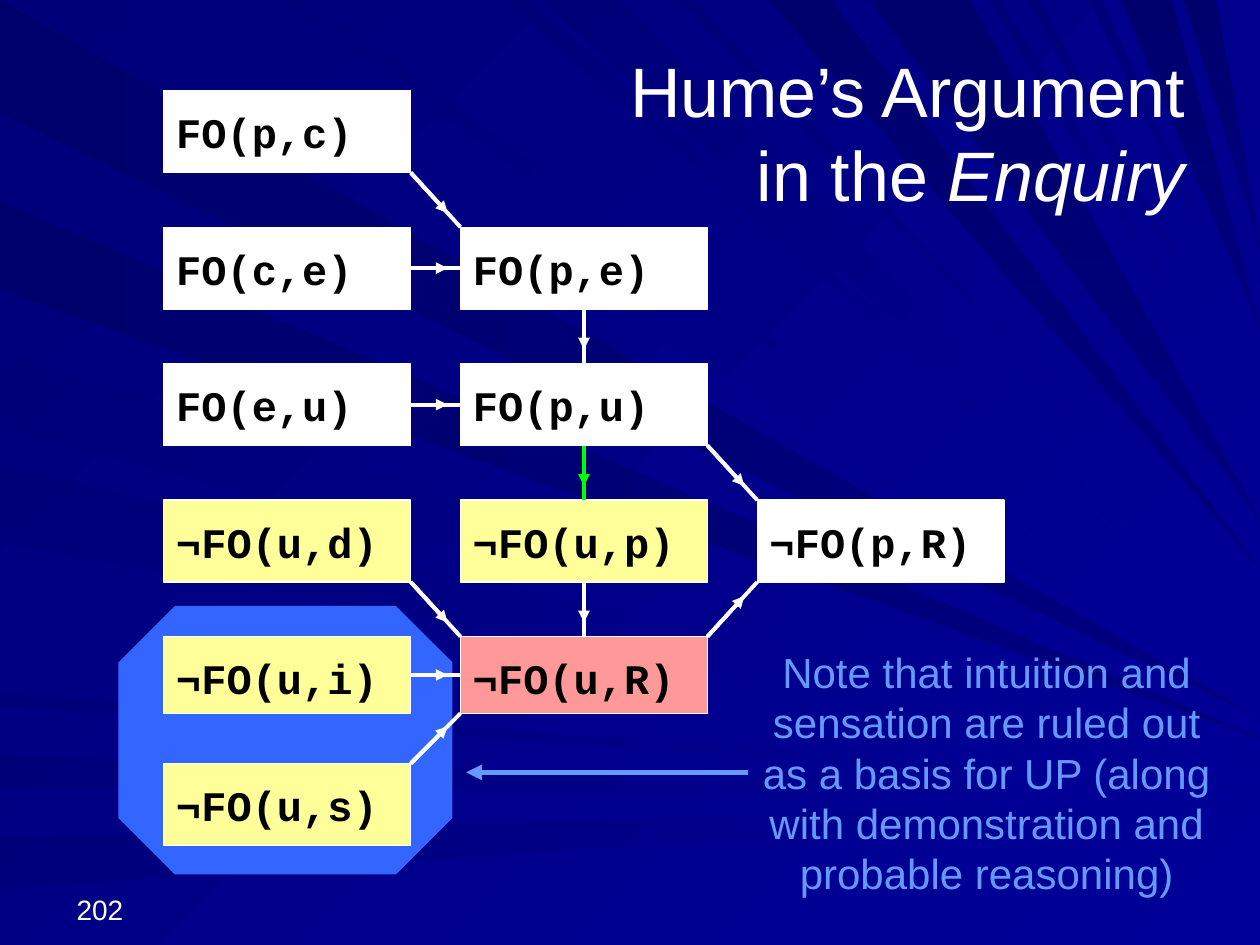
"""Build the slide that maps Hume's argument in the Enquiry."""
from dataclasses import dataclass
from math import sqrt
from typing import NamedTuple

from lxml.etree import SubElement
from pptx import Presentation
from pptx.dml.color import RGBColor
from pptx.enum.shapes import MSO_CONNECTOR as Connector, MSO_SHAPE as Preset
from pptx.enum.text import MSO_ANCHOR as Anchor, PP_ALIGN as Align
from pptx.oxml.ns import qn
from pptx.util import Inches, Pt


@dataclass(frozen=True)
class Theme:
    white: str = "FFFFFF"
    black: str = "000000"
    yellow: str = "FFFF99"
    pink: str = "FF9999"
    green: str = "00FF00"
    blue: str = "3366FF"
    sky: str = "6699FF"
    shade: str = "00006C"
    night: str = "000078"
    deep: str = "000080"
    dusk: str = "000099"
    sans: str = "Arial"
    mono: str = "Courier New"
    title_size: int = 40
    body_size: int = 24
    number_size: int = 16
    border: float = 0.75
    link_width: float = 2.25
    pointer_width: float = 3


class Area(NamedTuple):
    """Left, top, width and height in percent of the slide."""
    left: float
    top: float
    width: float
    height: float


class Fan(NamedTuple):
    """Beams of one tone: where each starts on its edge, and its width, in inches."""
    from_top: bool
    start: str
    end: str
    angle: int
    beams: dict


class Link(NamedTuple):
    source: str
    target: str
    color: str


THEME = Theme()
WIDTH, HEIGHT = Inches(10), Inches(7.5)
COLUMN_START, COLUMN_STEP, CLAIM_WIDTH = 13, 23.55, 19.6
ROW_START, ROW_STEP, CLAIM_HEIGHT = 9.6, 14.44, 8.67
SHORT_ROW, SHORT_HEIGHT, LAST_ROW, LAST_TOP = 4, 8.13, 5, 80.8
ARROW_SHARE = 0.74
HORIZON = 5.7

FANS = [
    Fan(False, THEME.shade, THEME.deep, 0, {0: 0.9, 1.6: 0.7}),
    Fan(False, THEME.night, THEME.dusk, 45, {2.8: 0.6, 3.7: 0.6, 5.5: 0.1, 6: 0.25, 6.65: 0.4}),
    Fan(True, THEME.night, THEME.dusk, 45,
        {0.3: 0.7, 2.25: 0.2, 4: 0.2, 4.3: 0.6, 5.4: 0.1, 7.85: 0.1, 8.15: 0.1, 8.65: 0.1}),
    Fan(True, THEME.shade, THEME.deep, 90, {6.1: 0.5, 6.9: 0.8, 8.9: 0.4, 9.4: 0.25}),
]
CLAIM_GRID = [
    ["FO(p,c)"],
    ["FO(c,e)", "FO(p,e)"],
    ["FO(e,u)", "FO(p,u)"],
    ["¬FO(u,d)", "¬FO(u,p)", "¬FO(p,R)"],
    ["¬FO(u,i)", "¬FO(u,R)"],
    ["¬FO(u,s)"],
]
SPECIAL_FILLS = {"¬FO(u,R)": THEME.pink, "¬FO(p,R)": THEME.white}
LINKS = [
    Link("FO(p,c)", "FO(p,e)", THEME.white),
    Link("FO(c,e)", "FO(p,e)", THEME.white),
    Link("FO(p,e)", "FO(p,u)", THEME.white),
    Link("FO(e,u)", "FO(p,u)", THEME.white),
    Link("FO(p,u)", "¬FO(u,p)", THEME.green),
    Link("FO(p,u)", "¬FO(p,R)", THEME.white),
    Link("¬FO(u,d)", "¬FO(u,R)", THEME.white),
    Link("¬FO(u,p)", "¬FO(u,R)", THEME.white),
    Link("¬FO(u,i)", "¬FO(u,R)", THEME.white),
    Link("¬FO(u,s)", "¬FO(u,R)", THEME.white),
    Link("¬FO(u,R)", "¬FO(p,R)", THEME.white),
]


def place(area: Area) -> tuple:
    return tuple(round(share * side / 100) for share, side in zip(area, (WIDTH, HEIGHT) * 2))


def paint(fill, start: str, end: str, angle: int) -> None:
    if start == end:
        fill.solid()
        fill.fore_color.rgb = RGBColor.from_string(start)
        return
    fill.gradient()
    fill.gradient_angle = -angle % 360
    for stop, color, position in zip(fill.gradient_stops, (start, end), (0, 1)):
        stop.color.rgb = RGBColor.from_string(color)
        stop.position = position


def draw_fan(page, fan: Fan) -> None:
    """Draw beams that narrow to a point on the right edge."""
    for near, width in fan.beams.items():
        edge = [Inches(near), Inches(near + width)]
        if fan.from_top:
            base = [(along, 0) for along in edge]
            tip = HORIZON * sqrt(1 - (Inches(near) / WIDTH) ** 2)
        else:
            base = [(0, along) for along in edge]
            tip = HORIZON + near / 10
        builder = page.shapes.build_freeform(*base[0])
        builder.add_line_segments([base[1], (WIDTH, Inches(tip))], close=True)
        beam = builder.convert_to_shape()
        beam.shadow.inherit = False
        beam.line.fill.background()
        paint(beam.fill, fan.start, fan.end, fan.angle)


def draw_shape(page, preset, area: Area, color: str):
    shape = page.shapes.add_shape(preset, *place(area))
    shape.shadow.inherit = False
    paint(shape.fill, color, color, 0)
    shape.line.fill.background()
    return shape


def write(box, spans: list, size: int, color: str, align=Align.LEFT, anchor=Anchor.MIDDLE,
          font: str = THEME.sans, bold: bool = False):
    frame = box.text_frame
    frame.word_wrap, frame.vertical_anchor = True, anchor
    para = frame.paragraphs[0]
    para.alignment = align
    for text, italic in spans:
        span = para.add_run()
        span.text = text
        span.font.name, span.font.size = font, Pt(size)
        span.font.bold, span.font.italic = bold, italic
        span.font.color.rgb = RGBColor.from_string(color)
    return para


def draw_claim(page, text: str, column: int, row: int):
    top = LAST_TOP if row == LAST_ROW else ROW_START + row * ROW_STEP
    height = SHORT_HEIGHT if row == SHORT_ROW else CLAIM_HEIGHT
    area = Area(COLUMN_START + column * COLUMN_STEP, top, CLAIM_WIDTH, height)
    usual = THEME.yellow if text.startswith("¬") else THEME.white
    box = draw_shape(page, Preset.RECTANGLE, area, SPECIAL_FILLS.get(text, usual))
    box.line.color.rgb = RGBColor.from_string(THEME.white)
    box.line.width = Pt(THEME.border)
    para = write(box, [(text, False)], THEME.body_size, THEME.black,
                 anchor=Anchor.TOP, font=THEME.mono, bold=True)
    para.line_spacing = 1.2
    return box


def draw_line(page, start: tuple, end: tuple, color: str, width: float, arrow: bool = False):
    line = page.shapes.add_connector(Connector.STRAIGHT, *start, *end)
    line.line.color.rgb = RGBColor.from_string(color)
    line.line.width = Pt(width)
    if arrow:
        SubElement(line.line._get_or_add_ln(), qn("a:tailEnd"), type="triangle")
    SubElement(line._element.spPr, qn("a:effectLst"))
    return line


def draw_link(page, source, target, color: str) -> None:
    """Join two claims side to side or corner to corner, with an arrowhead on the way."""
    sites = None
    start, end = (source.left + source.width, source.top), (target.left, target.top)
    if source.top == target.top:
        sites, middle = (3, 1), source.top + source.height // 2
        start, end = (start[0], middle), (end[0], middle)
    elif source.left == target.left:
        sites, middle = (2, 0), source.left + source.width // 2
        start, end = (middle, source.top + source.height), (middle, target.top)
    elif source.top < target.top:
        start = (start[0], source.top + source.height)
    else:
        end = (end[0], target.top + target.height)
    line = draw_line(page, start, end, color, THEME.link_width)
    if sites:
        line.begin_connect(source, sites[0])
        line.end_connect(target, sites[1])
    tip = tuple(round(a + (b - a) * ARROW_SHARE) for a, b in zip(start, end))
    draw_line(page, start, tip, color, THEME.link_width, arrow=True)


def main() -> None:
    deck = Presentation()
    deck.slide_width, deck.slide_height = WIDTH, HEIGHT
    page = deck.slides.add_slide(deck.slide_layouts[6])
    paint(page.background.fill, THEME.night, THEME.dusk, 45)
    for fan in FANS:
        draw_fan(page, fan)
    number = page.shapes.add_textbox(*place(Area(5.1, 92, 23.3, 6.67)))
    write(number, [("202", False)], THEME.number_size, THEME.white, anchor=Anchor.BOTTOM)
    octagon = draw_shape(page, Preset.OCTAGON, Area(9.4, 64.13, 26.5, 28.4), THEME.blue)
    octagon.adjustments[0] = 0.21
    boxes = {text: draw_claim(page, text, column, row)
             for row, texts in enumerate(CLAIM_GRID) for column, text in enumerate(texts)}
    for link in LINKS:
        draw_link(page, boxes[link.source], boxes[link.target], link.color)
    title = page.shapes.add_textbox(*place(Area(45.3, 4, 49.7, 19.73)))
    write(title, [("Hume’s Argument in the ", False), ("Enquiry", True)],
          THEME.title_size, THEME.white, Align.RIGHT)
    note = page.shapes.add_textbox(*place(Area(59.4, 66.8, 37.8, 29.87)))
    write(note, [("Note that intuition and sensation are ruled out as a basis for UP "
                  "(along with demonstration and probable reasoning)", False)],
          THEME.body_size, THEME.sky, Align.CENTER)
    middle = note.top + note.height // 2
    pointer = draw_line(page, (note.left, middle), (round(WIDTH * 0.37), middle),
                        THEME.sky, THEME.pointer_width, arrow=True)
    pointer.begin_connect(note, 1)
    deck.save("out.pptx")


if __name__ == "__main__":
    main()
